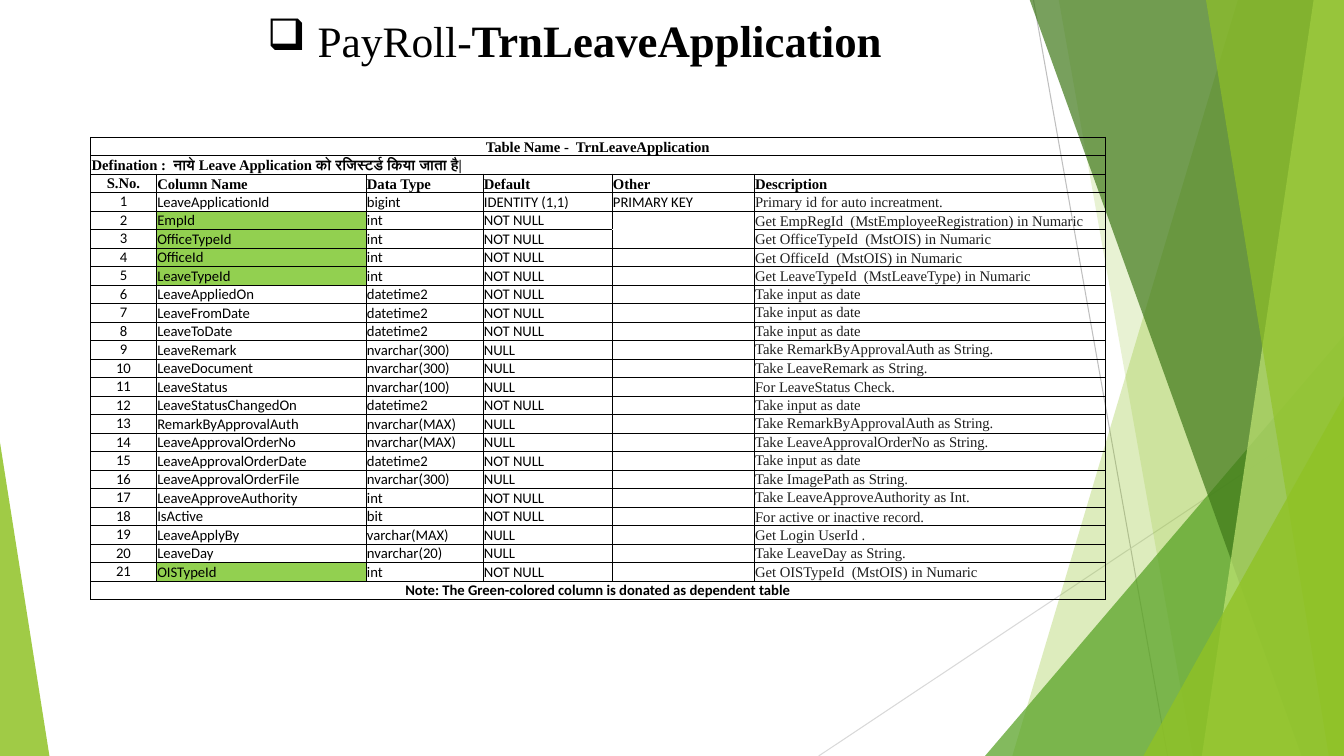
from lxml import etree
from pptx import Presentation
from pptx.dml.color import RGBColor
from pptx.enum.shapes import MSO_CONNECTOR, MSO_SHAPE
from pptx.enum.text import MSO_ANCHOR, PP_ALIGN
from pptx.oxml.ns import qn
from pptx.util import Inches, Pt

LINE = MSO_CONNECTOR.STRAIGHT
TRIANGLE = MSO_SHAPE.ISOSCELES_TRIANGLE
MIDDLE, BOTTOM = MSO_ANCHOR.MIDDLE, MSO_ANCHOR.BOTTOM
LEFT, CENTER = PP_ALIGN.LEFT, PP_ALIGN.CENTER
SERIF, SANS = "Times New Roman", "Calibri"

COLORS = {
    "black": "000000",
    "ink": "1F1F1F",
    "key": "92D050",
    "lime": "90C226",
    "green": "54A021",
    "forest": "3F7819",
    "pale": "C0E474",
    "gray": "BFBFBF",
    "light_gray": "D9D9D9",
}

TABLE_TITLE = "Table Name -  TrnLeaveApplication"
DEFINITION = "Defination :  नाये Leave Application को रजिस्टर्ड किया जाता है|"
NOTE = "Note: The Green-colored column is donated as dependent table"
HEADERS = ["S.No.", "Column Name", "Data Type", "Default", "Other", "Description"]
COL_WIDTHS = [0.65, 2.08, 1.16, 1.28, 1.41, 3.48]
TABLE_HEIGHT = 4.59
DEPENDENT = {"EmpId", "OfficeTypeId", "OfficeId", "LeaveTypeId", "OISTypeId"}
FIELDS = [
    ("LeaveApplicationId", "bigint", "IDENTITY (1,1)", "PRIMARY KEY", "Primary id for auto increatment."),
    ("EmpId", "int", "NOT NULL", "", "Get EmpRegId  (MstEmployeeRegistration) in Numaric"),
    ("OfficeTypeId", "int", "NOT NULL", "", "Get OfficeTypeId  (MstOIS) in Numaric"),
    ("OfficeId", "int", "NOT NULL", "", "Get OfficeId  (MstOIS) in Numaric"),
    ("LeaveTypeId", "int", "NOT NULL", "", "Get LeaveTypeId  (MstLeaveType) in Numaric"),
    ("LeaveAppliedOn", "datetime2", "NOT NULL", "", "Take input as date"),
    ("LeaveFromDate", "datetime2", "NOT NULL", "", "Take input as date"),
    ("LeaveToDate", "datetime2", "NOT NULL", "", "Take input as date"),
    ("LeaveRemark", "nvarchar(300)", "NULL", "", "Take RemarkByApprovalAuth as String."),
    ("LeaveDocument", "nvarchar(300)", "NULL", "", "Take LeaveRemark as String."),
    ("LeaveStatus", "nvarchar(100)", "NULL", "", "For LeaveStatus Check."),
    ("LeaveStatusChangedOn", "datetime2", "NOT NULL", "", "Take input as date"),
    ("RemarkByApprovalAuth", "nvarchar(MAX)", "NULL", "", "Take RemarkByApprovalAuth as String."),
    ("LeaveApprovalOrderNo", "nvarchar(MAX)", "NULL", "", "Take LeaveApprovalOrderNo as String."),
    ("LeaveApprovalOrderDate", "datetime2", "NOT NULL", "", "Take input as date"),
    ("LeaveApprovalOrderFile", "nvarchar(300)", "NULL", "", "Take ImagePath as String."),
    ("LeaveApproveAuthority", "int", "NOT NULL", "", "Take LeaveApproveAuthority as Int."),
    ("IsActive", "bit", "NOT NULL", "", "For active or inactive record."),
    ("LeaveApplyBy", "varchar(MAX)", "NULL", "", "Get Login UserId ."),
    ("LeaveDay", "nvarchar(20)", "NULL", "", "Take LeaveDay as String."),
    ("OISTypeId", "int", "NOT NULL", "", "Get OISTypeId  (MstOIS) in Numaric"),
]


def rgb(name):
    return RGBColor.from_string(COLORS[name])


def add_text(p, text, size=10.5, font=SANS, color="black", bold=False):
    r = p.add_run()
    r.text = text
    r.font.size = Pt(size)
    r.font.name = font
    r.font.bold = bold
    r.font.color.rgb = rgb(color)


def add_line(s, x1, y1, x2, y2, color):
    ln = s.shapes.add_connector(LINE, Inches(x1), Inches(y1), Inches(x2), Inches(y2))
    ln.line.color.rgb = rgb(color)
    ln.line.width = Pt(0.75)
    etree.SubElement(ln._element.spPr, qn("a:effectLst"))


def paint(sp, color, opacity):
    sp.shadow.inherit = False
    sp.line.fill.background()
    sp.fill.solid()
    sp.fill.fore_color.rgb = rgb(color)
    clr = sp._element.spPr.find(qn("a:solidFill"))[0]
    etree.SubElement(clr, qn("a:alpha"), val=str(opacity * 1000))


def add_band(s, top_x, bottom_x, color, opacity):
    fb = s.shapes.build_freeform(Inches(top_x), Inches(-0.01))
    corners = [(13.33, -0.01), (13.33, 7.5), (bottom_x, 7.5)]
    fb.add_line_segments([(Inches(x), Inches(y)) for x, y in corners], close=True)
    paint(fb.convert_to_shape(), color, opacity)


def add_triangle(s, x, y, w, h, apex, color, opacity):
    sp = s.shapes.add_shape(TRIANGLE, Inches(x), Inches(y), Inches(w), Inches(h))
    sp.adjustments[0] = apex
    paint(sp, color, opacity)


def add_backdrop(s):
    add_line(s, 10.25, 0, 11.58, 7.5, "gray")
    add_line(s, 13.33, 4.03, 8.12, 7.5, "light_gray")
    add_band(s, 12.28, 10.04, "lime", 30)
    add_band(s, 10.5, 11.83, "lime", 20)
    add_triangle(s, 9.77, 3.33, 3.56, 4.17, 1, "green", 72)
    add_band(s, 10.21, 12.91, "forest", 70)
    add_band(s, 13.03, 11.92, "pale", 70)
    add_band(s, 11.96, 13.18, "lime", 65)
    add_triangle(s, 11.34, 3.93, 1.99, 3.57, 1, "lime", 80)
    add_triangle(s, 0, 4.39, 0.49, 3.11, 0, "lime", 85)


def add_title(s):
    tf = s.shapes.add_textbox(Inches(1.56), Inches(0.08), Inches(8.28), Inches(0.64)).text_frame
    tf.word_wrap = True
    p = tf.paragraphs[0]
    p.alignment = CENTER
    pPr = p._p.get_or_add_pPr()
    pPr.set("marL", str(Inches(0.5)))
    pPr.set("indent", str(Inches(-0.5)))
    etree.SubElement(pPr, qn("a:buChar"), char="❑")
    add_text(p, "PayRoll-", size=31, font=SERIF)
    add_text(p, "TrnLeaveApplication", size=32, font=SERIF, bold=True)


def set_borders(cell, sides):
    tcPr = cell._tc.get_or_add_tcPr()
    for i, side in enumerate(sides):
        ln = etree.Element(qn(f"a:ln{side}"), w=str(Pt(0.5)))
        fill = etree.SubElement(ln, qn("a:solidFill"))
        etree.SubElement(fill, qn("a:srgbClr"), val=COLORS["black"])
        tcPr.insert(i, ln)


def fill_cell(cell, text, align=LEFT, anchor=BOTTOM, fill=None, sides="LRTB", **fmt):
    cell.margin_left = cell.margin_right = Inches(0.01)
    cell.margin_top = cell.margin_bottom = 0
    cell.vertical_anchor = anchor
    if fill:
        cell.fill.solid()
        cell.fill.fore_color.rgb = rgb(fill)
    else:
        cell.fill.background()
    set_borders(cell, sides)
    p = cell.text_frame.paragraphs[0]
    p.alignment = align
    if text:
        add_text(p, text, **fmt)
    else:
        etree.SubElement(p._p, qn("a:endParaRPr"), sz="1050")


def fill_banner(table, row, text, **fmt):
    for col in range(len(HEADERS)):
        fill_cell(table.cell(row, col), text if col == 0 else "", bold=True, **fmt)
    table.cell(row, 0).merge(table.cell(row, len(HEADERS) - 1))


def fill_field(table, row, number, field):
    name, kind, default, other, description = field
    other_sides = {"EmpId": "LRT", "OfficeTypeId": "LRB"}.get(name, "LRTB")
    fill_cell(table.cell(row, 0), str(number), align=CENTER, anchor=MIDDLE)
    fill_cell(table.cell(row, 1), name, fill="key" if name in DEPENDENT else None)
    fill_cell(table.cell(row, 2), kind)
    fill_cell(table.cell(row, 3), default)
    fill_cell(table.cell(row, 4), other, sides=other_sides)
    anchor = MIDDLE if description.startswith("Take") else BOTTOM
    fill_cell(table.cell(row, 5), description, anchor=anchor, font=SERIF, color="ink")


def add_field_table(s):
    rows = len(FIELDS) + 4
    table = s.shapes.add_table(rows, len(HEADERS), Inches(0.9), Inches(1.36),
                               Inches(sum(COL_WIDTHS)), Inches(TABLE_HEIGHT)).table
    table.first_row = table.horz_banding = False
    for col, width in zip(table.columns, COL_WIDTHS):
        col.width = Inches(width)
    for row in table.rows:
        row.height = Inches(TABLE_HEIGHT / rows)
    fill_banner(table, 0, TABLE_TITLE, align=CENTER, font=SERIF)
    fill_banner(table, 1, DEFINITION, font=SERIF)
    for col, text in enumerate(HEADERS):
        align, anchor = (LEFT, BOTTOM) if col else (CENTER, MIDDLE)
        fill_cell(table.cell(2, col), text, align=align, anchor=anchor, font=SERIF, bold=True)
    for number, field in enumerate(FIELDS, 1):
        fill_field(table, number + 2, number, field)
    fill_banner(table, rows - 1, NOTE, align=CENTER)


def main():
    prs = Presentation()
    prs.slide_width, prs.slide_height = Inches(13.33), Inches(7.5)
    s = prs.slides.add_slide(prs.slide_layouts[6])
    add_backdrop(s)
    add_title(s)
    add_field_table(s)
    prs.save("out.pptx")


if __name__ == "__main__":
    main()
